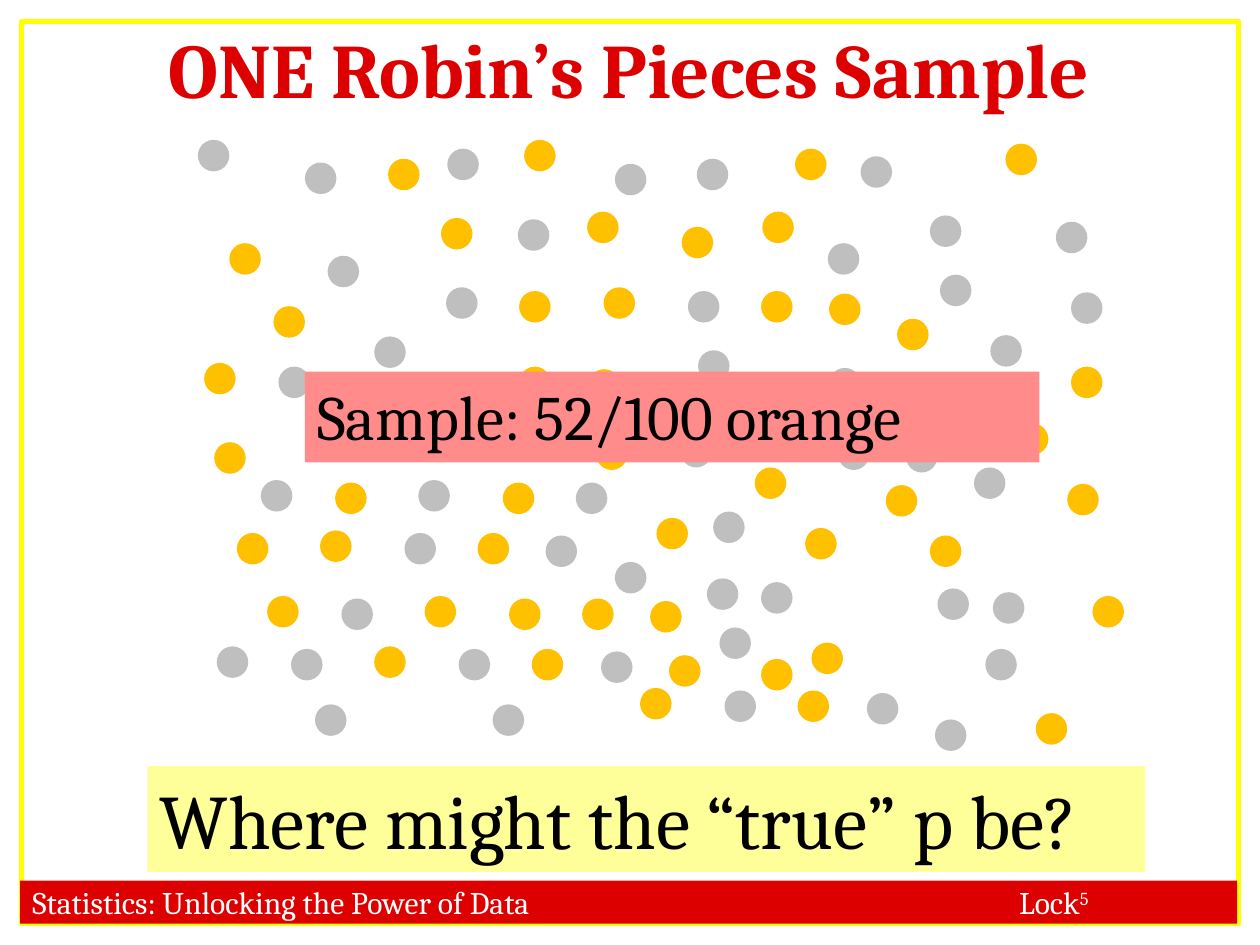
"""Build the slide that shows one sample of orange and grey candies."""
from dataclasses import dataclass

from lxml.etree import SubElement
from pptx import Presentation
from pptx.dml.color import RGBColor
from pptx.enum.shapes import MSO_SHAPE
from pptx.enum.text import MSO_ANCHOR, MSO_AUTO_SIZE, PP_ALIGN
from pptx.oxml.ns import qn
from pptx.util import Pt

PX = 9144
DOT = 25


@dataclass(frozen=True)
class Theme:
    font: str = "Cambria"
    red: str = "DC0000"
    yellow: str = "FFFF00"
    pale_yellow: str = "FFFF99"
    pink: str = "FF8B8B"
    orange: str = "FFC000"
    grey: str = "BFBFBF"
    white: str = "FFFFFF"
    black: str = "000000"
    title_size: int = 44
    sample_size: int = 36
    footer_size: int = 18
    frame_width: int = 3


theme = Theme()


def add_box(shapes, kind, left, top, width, height, fill=None):
    box = shapes.add_shape(kind, left * PX, top * PX, width * PX, height * PX)
    box.shadow.inherit = False
    box.line.fill.background()
    if fill:
        box.fill.solid()
        box.fill.fore_color.rgb = RGBColor.from_string(fill)
    else:
        box.fill.background()
    return box


def style(para, size, color, align=PP_ALIGN.LEFT, bold=False):
    para.alignment = align
    para.font.name = theme.font
    para.font.size = Pt(size)
    para.font.bold = bold
    para.font.color.rgb = RGBColor.from_string(color)


deck = Presentation()
deck.slide_width = 1000 * PX
deck.slide_height = 750 * PX
page = deck.slides.add_slide(deck.slide_layouts[5])

frame = add_box(page.shapes, MSO_SHAPE.RECTANGLE, 17, 17, 966, 716)
frame.line.color.rgb = RGBColor.from_string(theme.yellow)
frame.line.width = Pt(theme.frame_width)

footer = add_box(page.shapes, MSO_SHAPE.RECTANGLE, 16, 699, 966, 34, theme.red)
footer.text_frame.word_wrap = True
footer.text_frame.vertical_anchor = MSO_ANCHOR.MIDDLE
para = footer.text_frame.paragraphs[0]
tabs = SubElement(para._p.get_or_add_pPr(), qn("a:tabLst"))
SubElement(tabs, qn("a:tab"), pos=str(783 * PX), algn="l")
style(para, theme.footer_size, theme.white)
para.add_run().text = "Statistics: Unlocking the Power of Data\tLock"
span = para.add_run()
span.text = "5"
span._r.get_or_add_rPr().set("baseline", "30000")

add_box(page.shapes, MSO_SHAPE.RECTANGLE, 142, 100, 758, 508, theme.white)

candies = {
    theme.grey: [
        (157, 111), (683, 124), (838, 176), (488, 130), (553, 126), (355, 118),
        (242, 129), (738, 171), (657, 193), (411, 174), (260, 203), (744, 467),
        (604, 462), (571, 498), (271, 475), (658, 292), (554, 278), (297, 267),
        (221, 291), (354, 228), (786, 266), (850, 232), (746, 218), (546, 231),
        (207, 381), (566, 406), (457, 383), (332, 381), (250, 559), (688, 550),
        (788, 470), (742, 571), (575, 548), (391, 559), (719, 350), (773, 371),
        (665, 348), (540, 346), (561, 459), (433, 425), (488, 446), (321, 423),
        (172, 513), (782, 515), (477, 517), (364, 515), (231, 515),
    ],
    theme.orange: [
        (631, 118), (416, 111), (308, 126), (182, 193), (798, 114), (541, 180),
        (605, 168), (466, 168), (350, 173), (212, 473), (644, 510), (516, 477),
        (462, 475), (404, 475), (337, 473), (162, 288), (467, 293), (412, 291),
        (658, 233), (712, 253), (604, 231), (479, 228), (412, 231), (639, 419),
        (703, 385), (217, 243), (599, 371), (399, 383), (266, 383), (822, 566),
        (867, 473), (633, 548), (508, 546), (847, 384), (850, 291), (807, 336),
        (473, 348), (170, 351), (738, 425), (521, 411), (379, 423), (254, 421),
        (188, 423), (604, 523), (531, 520), (422, 515), (297, 513),
    ],
}
sample = page.shapes.add_group_shape()
for color, places in candies.items():
    for left, top in places:
        add_box(sample.shapes, MSO_SHAPE.OVAL, left, top, DOT, DOT, color)

banners = [
    ("Sample: 52/100 orange", theme.sample_size, theme.pink, (242, 295, 583, 72)),
    ("Where might the “true” p be?", theme.title_size, theme.pale_yellow, (117, 608, 792, 84)),
]
for words, size, fill, place in banners:
    banner = add_box(page.shapes, MSO_SHAPE.RECTANGLE, *place, fill)
    banner.text_frame.word_wrap = True
    banner.text_frame.auto_size = MSO_AUTO_SIZE.SHAPE_TO_FIT_TEXT
    banner.text_frame.vertical_anchor = MSO_ANCHOR.TOP
    banner.text_frame.text = words
    style(banner.text_frame.paragraphs[0], size, theme.black)

title = page.shapes.title
title.left, title.top, title.width, title.height = 8 * PX, 8 * PX, 983 * PX, 92 * PX
title.text_frame.text = "ONE Robin’s Pieces Sample"
title.text_frame.auto_size = MSO_AUTO_SIZE.NONE
title.text_frame.vertical_anchor = MSO_ANCHOR.MIDDLE
style(title.text_frame.paragraphs[0], theme.title_size, theme.red, PP_ALIGN.CENTER, True)

deck.save("out.pptx")
